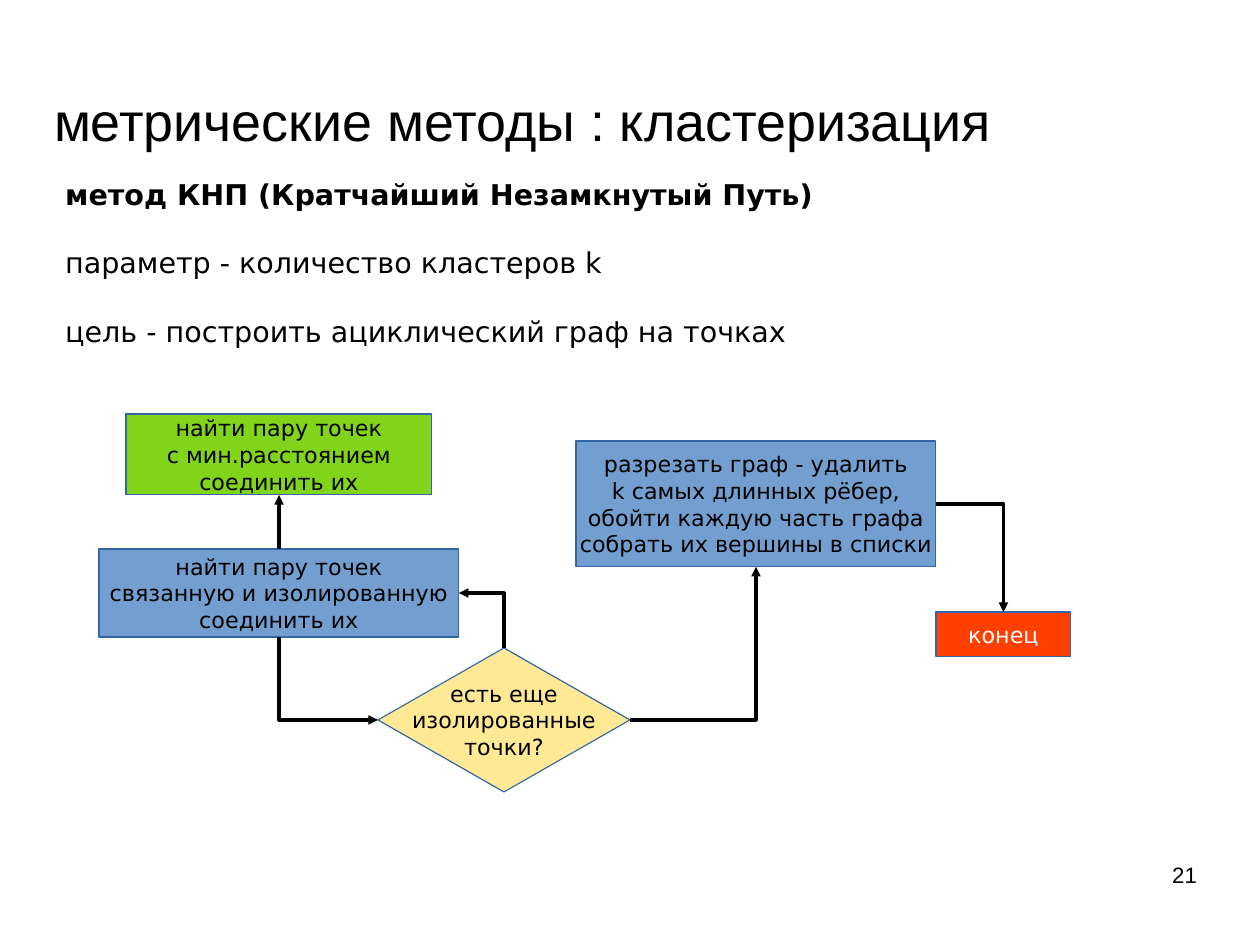
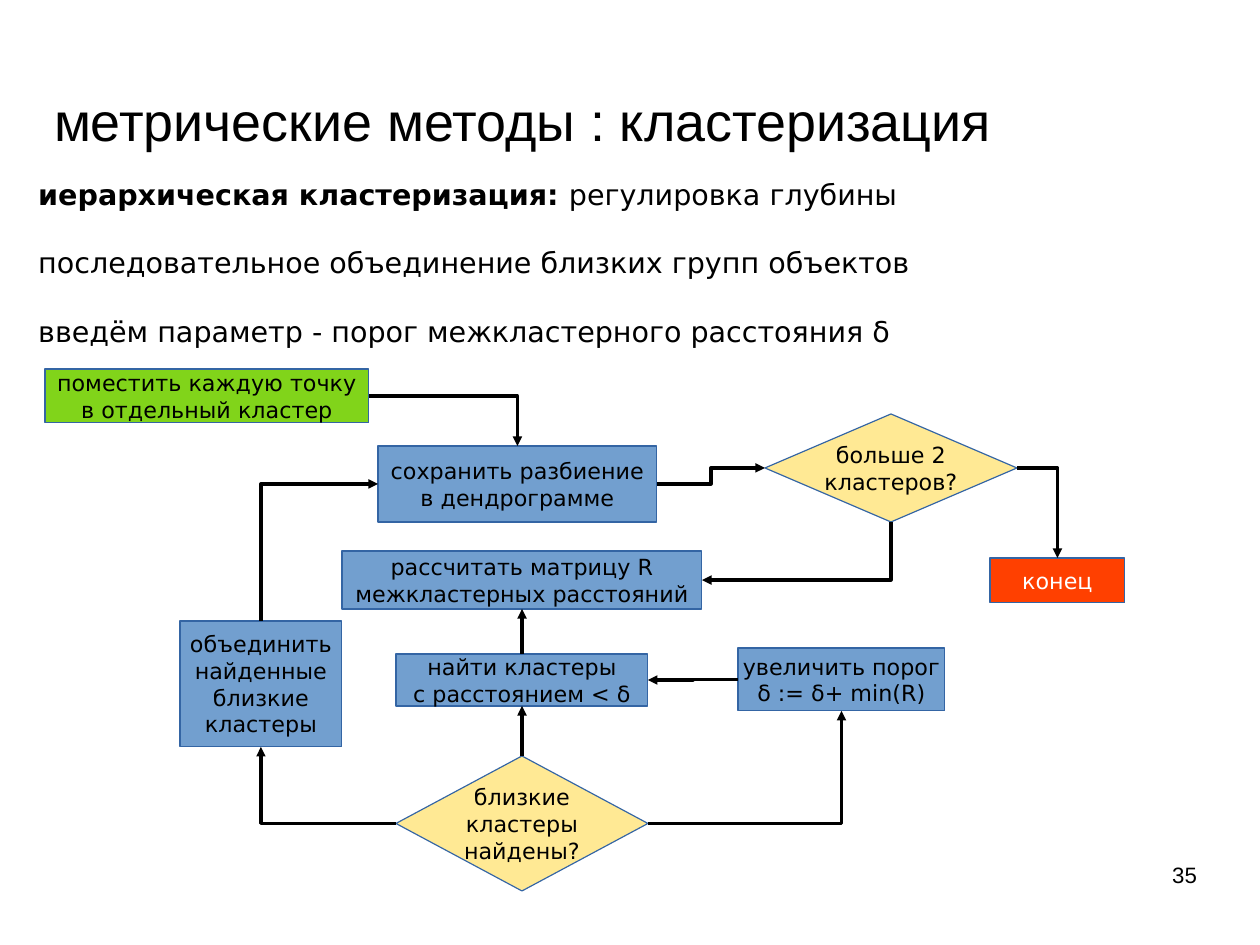
"""Build two flowchart slides on metric clustering methods."""
from dataclasses import dataclass

from lxml import etree
from pptx import Presentation
from pptx.dml.color import RGBColor
from pptx.enum.shapes import MSO_CONNECTOR, MSO_SHAPE
from pptx.enum.text import MSO_ANCHOR, MSO_AUTO_SIZE, PP_ALIGN
from pptx.oxml.ns import qn
from pptx.util import Pt

RECTANGLE, DIAMOND = MSO_SHAPE.RECTANGLE, MSO_SHAPE.DIAMOND
STRAIGHT, ELBOW = MSO_CONNECTOR.STRAIGHT, MSO_CONNECTOR.ELBOW
LEFT, CENTER, RIGHT = PP_ALIGN.LEFT, PP_ALIGN.CENTER, PP_ALIGN.RIGHT
TOP_ANCHOR, MIDDLE = MSO_ANCHOR.TOP, MSO_ANCHOR.MIDDLE
NO_FIT, GROW = MSO_AUTO_SIZE.NONE, MSO_AUTO_SIZE.SHAPE_TO_FIT_TEXT
TOP, WEST, BOTTOM, EAST = range(4)
PX = 8000


@dataclass(frozen=True)
class Theme:
    """Colours, fonts and type sizes shared by the slides."""
    black: str = "000000"
    white: str = "FFFFFF"
    outline: str = "3465A4"
    start: str = "81D41A"
    step: str = "729FCF"
    choice: str = "FFE994"
    end: str = "FF4000"
    heading_font: str = "Arial"
    body_font: str = "DejaVu Sans"
    title_size: float = 33.9
    body_size: float = 18
    node_size: float = 14
    body_gap: float = 21.5


THEME = Theme()
NODE_KINDS = {
    "start": (RECTANGLE, THEME.start, THEME.black),
    "step": (RECTANGLE, THEME.step, THEME.black),
    "choice": (DIAMOND, THEME.choice, THEME.black),
    "end": (RECTANGLE, THEME.end, THEME.white),
}
TITLE = "метрические методы : кластеризация"

SLIDES = [
    {
        "number": "21",
        "body_box": (54, 171, 828, 184),
        "lead": "метод КНП (Кратчайший Незамкнутый Путь)",
        "body": ["", "параметр - количество кластеров k",
                 "цель - построить ациклический граф на точках"],
        "nodes": {
            "first_pair": ("start", (126, 414, 306, 81),
                           ["найти пару точек", "с мин.расстоянием", "соединить их"]),
            "next_pair": ("step", (99, 549, 360, 88),
                          ["найти пару точек", "связанную и изолированную", "соединить их"]),
            "isolated_left": ("choice", (378, 648, 252, 144),
                              ["есть еще", "изолированные", "точки?"]),
            "cut_graph": ("step", (576, 441, 360, 126),
                          ["разрезать граф - удалить", "k самых длинных рёбер,",
                           "обойти каждую часть графа", "собрать их вершины в списки"]),
            "finish": ("end", (936, 612, 135, 45), ["конец"]),
        },
        "arrows": [
            ("next_pair", TOP, "first_pair", BOTTOM),
            ("next_pair", BOTTOM, "isolated_left", WEST),
            ("isolated_left", TOP, "next_pair", EAST),
            ("isolated_left", EAST, "cut_graph", BOTTOM),
            ("cut_graph", EAST, "finish", TOP),
        ],
    },
    {
        "number": "35",
        "body_box": (27, 171, 954, 184),
        "lead": "иерархическая кластеризация: ",
        "body": ["регулировка глубины",
                 "последовательное объединение близких групп объектов",
                 "введём параметр - порог межкластерного расстояния δ"],
        "nodes": {
            "single_points": ("start", (45, 369, 324, 54),
                              ["поместить каждую точку", "в отдельный кластер"]),
            "save_split": ("step", (378, 446, 279, 76),
                           ["сохранить разбиение", "в дендрограмме"]),
            "more_than_two": ("choice", (765, 414, 252, 108), ["больше 2", "кластеров?"]),
            "finish": ("end", (990, 558, 135, 45), ["конец"]),
            "distances": ("step", (342, 551, 360, 58),
                          ["рассчитать матрицу R", "межкластерных расстояний"]),
            "find_close": ("step", (396, 654, 252, 52),
                           ["найти кластеры", "с расстоянием < δ"]),
            "raise_threshold": ("step", (738, 648, 207, 63),
                                ["увеличить порог", "δ := δ+ min(R)"]),
            "close_found": ("choice", (396, 756, 252, 135),
                            ["близкие", "кластеры", "найдены?"]),
            "merge": ("step", (180, 621, 162, 126),
                      ["объединить", "найденные", "близкие", "кластеры"]),
        },
        "arrows": [
            ("single_points", EAST, "save_split", TOP),
            ("save_split", EAST, "more_than_two", WEST),
            ("more_than_two", EAST, "finish", TOP),
            ("more_than_two", BOTTOM, "distances", EAST),
            ("find_close", TOP, "distances", BOTTOM),
            ("raise_threshold", WEST, "find_close", EAST),
            ("close_found", TOP, "find_close", BOTTOM),
            ("close_found", EAST, "raise_threshold", BOTTOM),
            ("close_found", WEST, "merge", BOTTOM),
            ("merge", TOP, "save_split", WEST),
        ],
    },
]


def write(frame, lines, *, size, font=THEME.body_font, color=THEME.black, align=LEFT,
          anchor=TOP_ANCHOR, wrap=True, fit=NO_FIT, gap=0, lead="", inset=True):
    """Fill a text frame with one paragraph per line, after an optional bold lead."""
    frame.word_wrap, frame.auto_size, frame.vertical_anchor = wrap, fit, anchor
    if not inset:
        frame.margin_left = frame.margin_top = frame.margin_right = frame.margin_bottom = 0
    for index, line in enumerate(lines):
        para = frame.add_paragraph() if index else frame.paragraphs[0]
        para.alignment = align
        para.space_before = Pt(gap if index else 0)
        for text, bold in ((lead if index == 0 else "", True), (line, False)):
            if text:
                span = para.add_run()
                span.text = text
                span.font.name, span.font.size, span.font.bold = font, Pt(size), bold
                span.font.color.rgb = RGBColor.from_string(color)


def join(page, source, source_side, target, target_side):
    """Draw an arrow between two side midpoints, bending where they do not line up."""
    ends = []
    for shape, side in ((source, source_side), (target, target_side)):
        across, down = ((1, 0), (0, 1), (1, 2), (2, 1))[side]
        ends.append((shape.left + shape.width * across // 2,
                     shape.top + shape.height * down // 2))
    (x1, y1), (x2, y2) = ends
    aligned = x1 == x2 or y1 == y2
    arrow = page.shapes.add_connector(STRAIGHT if aligned else ELBOW, x1, y1, x2, y2)
    arrow.begin_connect(source, source_side)
    arrow.end_connect(target, target_side)
    arrow.line.color.rgb = RGBColor.from_string(THEME.black)
    arrow.line.width = 0
    properties = arrow._element.spPr
    etree.SubElement(properties.find(qn("a:ln")), qn("a:tailEnd"), type="triangle")
    etree.SubElement(properties, qn("a:effectLst"))
    if not aligned and source_side % 2 != target_side % 2:
        properties.find(qn("a:prstGeom")).set("prst", "bentConnector2")
        if source_side in (TOP, BOTTOM):
            width, height = abs(y2 - y1), abs(x2 - x1)
            arrow.left, arrow.top = (x1 + x2 - width) // 2, (y1 + y2 - height) // 2
            arrow.width, arrow.height = width, height
            arrow.rotation = 90
            transform = properties.find(qn("a:xfrm"))
            transform.set("flipH", str(int(y2 < y1)))
            transform.set("flipV", str(int(x2 > x1)))


deck = Presentation()
deck.slide_width, deck.slide_height = 1260 * PX, 945 * PX
title_only = deck.slide_layouts[5]

for content in SLIDES:
    page = deck.slides.add_slide(title_only)
    title = page.shapes.title
    title.left, title.top, title.width, title.height = (v * PX for v in (54, 89, 999, 61))
    write(title.text_frame, [TITLE], size=THEME.title_size, font=THEME.heading_font,
          anchor=MIDDLE, inset=False)

    body = page.shapes.add_textbox(*(v * PX for v in content["body_box"]))
    write(body.text_frame, content["body"], size=THEME.body_size, lead=content["lead"],
          gap=THEME.body_gap, fit=GROW)

    nodes = {}
    for name, (kind, bounds, lines) in content["nodes"].items():
        preset, fill, ink = NODE_KINDS[kind]
        box = page.shapes.add_shape(preset, *(v * PX for v in bounds))
        box.shadow.inherit = False
        box.fill.solid()
        box.fill.fore_color.rgb = RGBColor.from_string(fill)
        box.line.color.rgb = RGBColor.from_string(THEME.outline)
        box.line.width = 0
        write(box.text_frame, lines, size=THEME.node_size, color=ink, align=CENTER,
              anchor=MIDDLE, wrap=False)
        nodes[name] = box

    for source, source_side, target, target_side in content["arrows"]:
        join(page, nodes[source], source_side, nodes[target], target_side)

    number = page.shapes.add_textbox(*(v * PX for v in (903, 861, 294, 65)))
    write(number.text_frame, [content["number"]], size=THEME.node_size,
          font=THEME.heading_font, align=RIGHT, inset=False)

deck.save("out.pptx")
